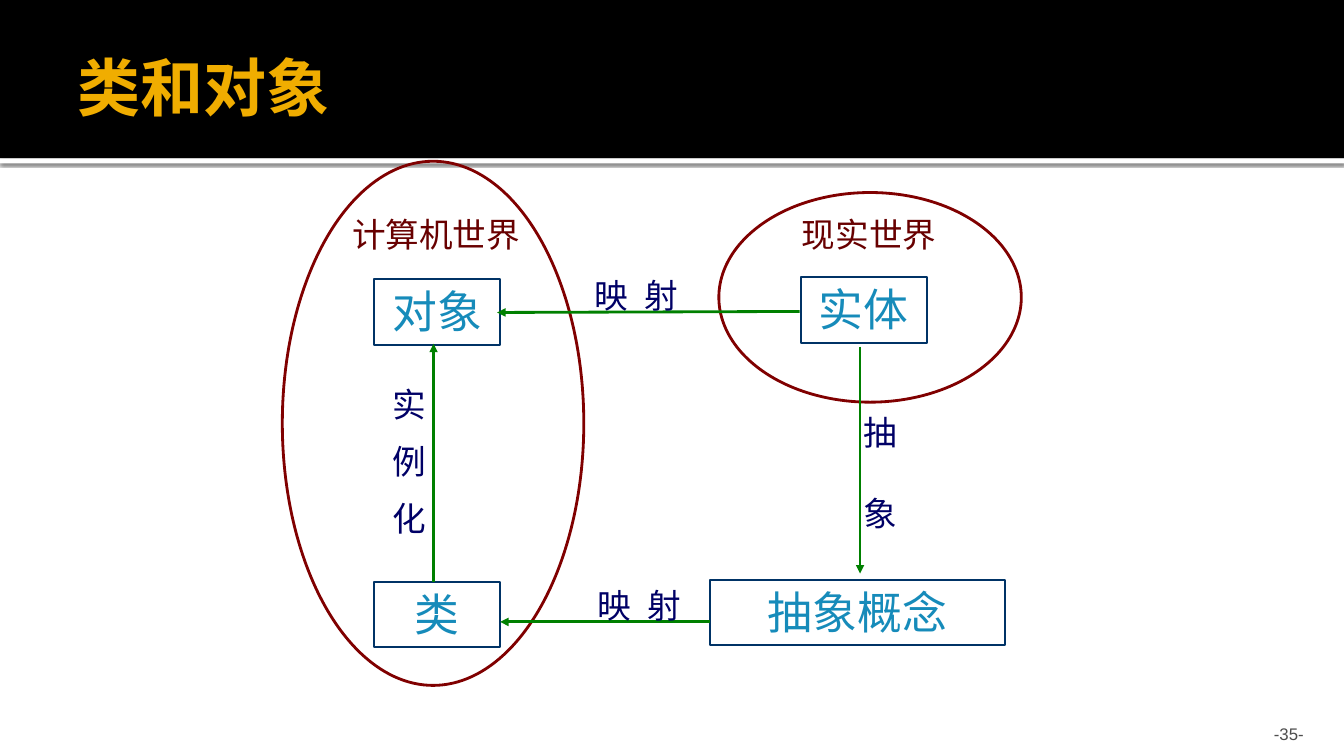
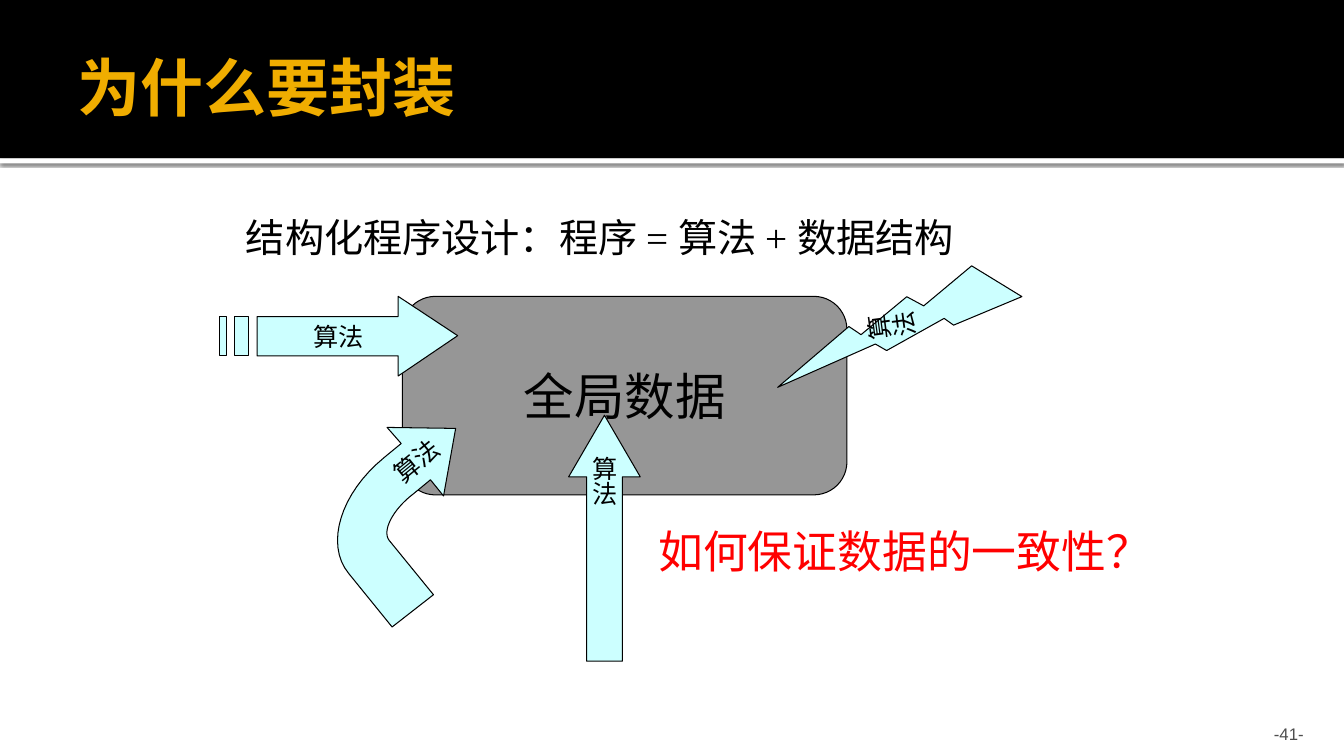
from lxml import etree
from pptx import Presentation
from pptx.dml.color import RGBColor
from pptx.enum.shapes import MSO_CONNECTOR, MSO_SHAPE
from pptx.enum.text import MSO_ANCHOR, PP_ALIGN
from pptx.oxml.ns import qn
from pptx.util import Inches, Pt

RECT, OVAL, ROUNDED = MSO_SHAPE.RECTANGLE, MSO_SHAPE.OVAL, MSO_SHAPE.ROUNDED_RECTANGLE
BOLT, UP_ARROW = MSO_SHAPE.LIGHTNING_BOLT, MSO_SHAPE.UP_ARROW
STRAIGHT = MSO_CONNECTOR.STRAIGHT
TOP, MIDDLE, BOTTOM = MSO_ANCHOR.TOP, MSO_ANCHOR.MIDDLE, MSO_ANCHOR.BOTTOM
LEFT, CENTER, RIGHT = PP_ALIGN.LEFT, PP_ALIGN.CENTER, PP_ALIGN.RIGHT

COLORS = {
    "white": "FFFFFF", "black": "000000", "title": "F0AD00", "page": "4D4D4D",
    "node_line": "003366", "node_text": "168BBA", "world_line": "800000",
    "world_text": "680000", "arrow": "008000", "relation": "000066",
    "data": "969696", "algorithm": "CCFFFF", "question": "FF0000",
}
BODY_FONT, PAGE_FONT = "Times New Roman", "Arial"
SLIDE_WIDTH, SLIDE_HEIGHT = 13.33, 7.5
BAND_HEIGHT = 1.57
NODE_HEIGHT = 0.65


def rgb(name):
    """Return the named colour."""
    return RGBColor.from_string(COLORS[name])


def write(shape, lines, size, color, align=CENTER, anchor=TOP, wrap=True,
          gap=0, font=BODY_FONT, bold=False, insets=(0.1, 0.05, 0.1, 0.05)):
    """Fill a shape with equally styled paragraphs, gap points apart."""
    frame = shape.text_frame
    frame.word_wrap = wrap
    frame.vertical_anchor = anchor
    (frame.margin_left, frame.margin_top,
     frame.margin_right, frame.margin_bottom) = map(Inches, insets)
    frame.text = "\n".join(lines)
    for index, paragraph in enumerate(frame.paragraphs):
        paragraph.alignment = align
        paragraph.space_before = Pt(gap if index else 0)
        paragraph.font.size = Pt(size)
        paragraph.font.name = font
        paragraph.font.bold = bold
        paragraph.font.color.rgb = rgb(color)


def label(slide, box, lines, size, color, **style):
    """Add a text box and return it."""
    text = slide.shapes.add_textbox(*map(Inches, box))
    write(text, lines, size, color, **style)
    return text


def paint(shape, fill=None, line=None, width=0.75):
    """Set fill and outline, and remove the shadow."""
    shape.shadow.inherit = False
    if fill:
        shape.fill.solid()
        shape.fill.fore_color.rgb = rgb(fill)
    else:
        shape.fill.background()
    if line:
        shape.line.color.rgb = rgb(line)
        shape.line.width = Pt(width)
    else:
        shape.line.fill.background()
    return shape


def preset(slide, kind, box, **look):
    """Add a painted preset shape."""
    return paint(slide.shapes.add_shape(kind, *map(Inches, box)), **look)


def outline(slide, left, top, contours, **look):
    """Add a painted freeform of closed contours relative to left and top."""
    placed = [[(Inches(left + x), Inches(top + y)) for x, y in contour]
              for contour in contours]
    builder = slide.shapes.build_freeform(*placed[0][0], scale=1.0)
    for index, contour in enumerate(placed):
        if index:
            builder.move_to(*contour[0])
        builder.add_line_segments(contour[1:], close=True)
    return paint(builder.convert_to_shape(), **look)


def bezier(start, first, second, end, steps=16):
    """Return the points of a cubic curve after its start."""
    points = []
    for step in range(1, steps + 1):
        t = step / steps
        weights = ((1 - t) ** 3, 3 * t * (1 - t) ** 2, 3 * t * t * (1 - t), t ** 3)
        points.append(tuple(
            sum(w * value for w, value in zip(weights, axis))
            for axis in zip(start, first, second, end)))
    return points


def arrow(slide, start, end):
    """Draw a line with a triangular head at its end."""
    line = slide.shapes.add_connector(STRAIGHT, *map(Inches, start + end))
    line.line.color.rgb = rgb("arrow")
    line.line.width = Pt(2)
    etree.SubElement(line.line._get_or_add_ln(), qn("a:tailEnd"), type="triangle")
    etree.SubElement(line.element.spPr, qn("a:effectLst"))


def base_slide(deck, title, page):
    """Add a slide with the title band and the page number."""
    slide = deck.slides.add_slide(deck.slide_layouts[6])
    rule = preset(slide, RECT, (0, BAND_HEIGHT, SLIDE_WIDTH, 0.05), fill="white")
    effects = rule.element.spPr.find(qn("a:effectLst"))
    shadow = etree.SubElement(effects, qn("a:outerShdw"), blurRad=str(Pt(2.5)),
                              dist=str(Pt(0.8)), dir="5400000", algn="t",
                              rotWithShape="0")
    tint = etree.SubElement(shadow, qn("a:srgbClr"), val=COLORS["black"])
    etree.SubElement(tint, qn("a:alpha"), val="60000")
    preset(slide, RECT, (0, 0, SLIDE_WIDTH, BAND_HEIGHT), fill="black")
    label(slide, (0.67, 0.17, 12, 1.37), [title], 45, "title", align=LEFT,
          anchor=MIDDLE, bold=True, insets=(0.1, 0.05, 0.05, 0.05))
    label(slide, (11.96, 7.08, 1.07, 0.3), [f"-{page}-"], 12, "page", align=RIGHT,
          anchor=BOTTOM, font=PAGE_FONT, insets=(0.1, 0.05, 0.1, 0))
    return slide


def class_diagram(slide, left, top):
    """Draw the two worlds, their nodes and the relations between them."""
    def at(x, y, *size):
        return (left + x, top + y) + size

    nodes = [("对象", 0.91, 1.17, 1.25), ("实体", 5.14, 1.15, 1.25),
             ("类", 0.91, 4.17, 1.25), ("抽象概念", 4.24, 4.15, 2.93)]
    for name, x, y, width in nodes:
        node = preset(slide, RECT, at(x, y, width, NODE_HEIGHT),
                      line="node_line", width=1.5)
        write(node, [name], 32, "node_text")

    worlds = [("计算机世界", (0, 0, 2.99, 5.2), (0.4, 0.47, 2.25, 0.5)),
              ("现实世界", (4.33, 0.31, 3, 2.08), (4.86, 0.47, 1.92, 0.5))]
    for name, ring, caption in worlds:
        preset(slide, OVAL, at(*ring), line="world_line", width=2)
        label(slide, at(*caption), [name], 24, "world_text")

    for start, end in [((1.5, 4.17), (1.5, 1.81)), ((5.13, 1.49), (2.13, 1.5)),
                       ((5.73, 1.84), (5.73, 4.09)), ((4.24, 4.57), (2.16, 4.57))]:
        arrow(slide, at(*start), at(*end))

    label(slide, at(0.99, 2.16, 0.67, 1.72), "实例化", 24, "relation",
          align=LEFT, gap=12)
    label(slide, at(5.67, 2.44, 0.47, 0.91), "抽象", 24, "relation",
          align=LEFT, gap=29)
    for box in [(2.76, 1.08, 1.5, 0.5), (2.99, 4.15, 1.1, 0.5)]:
        mapping = label(slide, at(*box), ["映 射"], 24, "relation")
        run = mapping.text_frame.paragraphs[0].runs[0]
        run.font._element.set("spc", "300")


def curved_arrow(slide, left, top, look):
    """Draw the bent algorithm arrow with its slanted label."""
    outer, inner = (0.61, 0.34), (0.66, 1.16)
    contour = [(1.32, 0.05), (0.64, 0.04), (0.78, 0.2), outer,
               *bezier(outer, (0.18, 0.69), (0.02, 1.2), (0.26, 1.49)),
               (0.69, 2.02), (1.1, 1.7), inner,
               *bezier(inner, (0.59, 1.07), (0.69, 0.86), (0.9, 0.7)),
               (1.07, 0.56), (1.2, 0.72)]
    outline(slide, left, top, [contour], **look)
    name = label(slide, (left + 0.53, top + 0.17, 0.8, 0.4), ["算法"], 18, "black",
                 anchor=MIDDLE)
    name.rotation = 320.9


def striped_arrow(slide, left, top, look):
    """Draw the algorithm arrow with two stripes behind it."""
    upper, lower = 0.2, 0.59
    head = [(1.77, 0), (1.77, upper), (0.37, upper), (0.37, lower),
            (1.77, lower), (1.77, 0.79), (2.36, 0.39)]
    stripes = [[(x, upper), (x, lower), (end, lower), (end, upper)]
               for x, end in ((0.15, 0.29), (0, 0.07))]
    shape = outline(slide, left, top, [head] + stripes, **look)
    write(shape, ["算法"], 18, "black", anchor=MIDDLE, wrap=False)


def global_data_diagram(slide, left, top):
    """Draw the global data with four algorithms reaching into it."""
    def at(x, y, *size):
        return (left + x, top + y) + size

    look = {"fill": "algorithm", "line": "black"}
    label(slide, at(0.16, 0, 7.95, 0.57),
          ["结构化程序设计：程序 = 算法 + 数据结构"], 28, "black", align=LEFT)
    data = preset(slide, ROUNDED, at(1.81, 0.87, 4.41, 1.97),
                  fill="data", line="black")
    write(data, ["全局数据"], 36, "black", anchor=MIDDLE, wrap=False)

    bolt = preset(slide, BOLT, at(6.25, -0.12, 0.94, 2.52), **look)
    bolt.rotation = 82.4
    upward = preset(slide, UP_ARROW, at(3.46, 2.05, 0.71, 2.44), **look)
    upward.adjustments[0] = 0.5
    upward.adjustments[1] = 0.86
    for algorithm in (bolt, upward):
        write(algorithm, ["算法"], 18, "black", anchor=MIDDLE, wrap=False)
        algorithm.element.txBody.bodyPr.set("vert", "eaVert")
    bolt.element.txBody.bodyPr.set("rot", "10800000")

    curved_arrow(slide, *at(1.02, 2.13), look)
    striped_arrow(slide, *at(0, 0.87), look)
    label(slide, at(4.25, 3.08, 5.24, 0.63), ["如何保证数据的一致性？"], 32,
          "question", align=LEFT)


def main():
    """Build and save the deck."""
    deck = Presentation()
    deck.slide_width, deck.slide_height = Inches(SLIDE_WIDTH), Inches(SLIDE_HEIGHT)
    class_diagram(base_slide(deck, "类和对象", 35), 2.8, 1.6)
    global_data_diagram(base_slide(deck, "为什么要封装", 41), 2.18, 2.07)
    deck.save("out.pptx")


if __name__ == "__main__":
    main()
